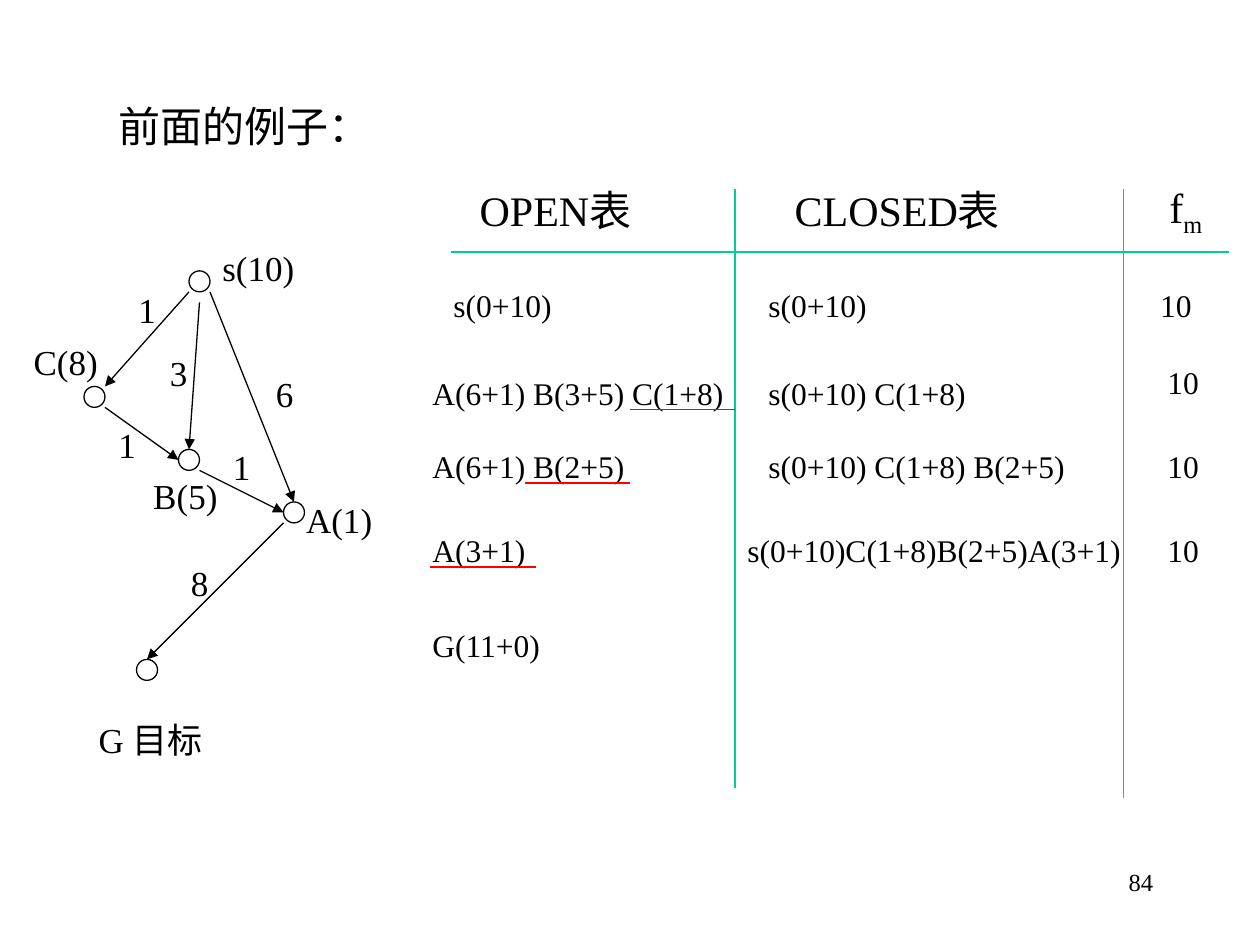
"""Build the slide that traces a search graph through its OPEN and CLOSED lists."""
from dataclasses import dataclass
from typing import NamedTuple, Optional

from lxml import etree
from pptx import Presentation, util as u
from pptx.dml.color import RGBColor
from pptx.enum import shapes, text
from pptx.oxml import ns


@dataclass(frozen=True)
class Theme:
    font: str = "Times New Roman"
    ink: RGBColor = RGBColor(0x00, 0x00, 0x00)
    paper: RGBColor = RGBColor(0xFF, 0xFF, 0xFF)
    rule: RGBColor = RGBColor(0x00, 0xCC, 0x99)
    mark: RGBColor = RGBColor(0xFF, 0x00, 0x00)
    heading: int = 24
    label: int = 20
    cell: int = 18
    number: int = 14
    line: float = 0.75


class Label(NamedTuple):
    words: str
    column: float
    row: float
    width: float
    subscript: str = ""


class Node(NamedTuple):
    name: str
    column: float
    row: float


class Edge(NamedTuple):
    start: tuple[float, float]
    end: tuple[float, float]
    top_of: Optional[str] = None


class Rule(NamedTuple):
    start: tuple[float, float]
    end: tuple[float, float]


THEME = Theme()
COLUMNS, ROWS = 120, 90
NODE_SIZE = 2
LABEL_HEIGHT, CELL_HEIGHT, HEADING_HEIGHT = 5.3, 4.8, 6
OPEN, CLOSED, COST = 40, 72, 110
SLACK = 1
SLACK_BEFORE = {text.PP_ALIGN.LEFT: 0, text.PP_ALIGN.CENTER: SLACK / 2,
                text.PP_ALIGN.RIGHT: SLACK}

TITLE = Label("前面的例子：", 10.1, 9, 26.4)
NUMBER = Label("84", 86, 82, 25)
NODES = [Node("s", 18, 25.8), Node("C", 8, 36.8), Node("B", 17, 42.8),
         Node("A", 27, 47.8), Node("G", 13, 62.8)]
EDGES = [
    Edge((18, 27.8), (10, 36.8)),
    Edge((19, 28.8), (18, 42.8), "B"),
    Edge((20, 27.8), (28, 47.8), "A"),
    Edge((27, 49.8), (14, 62.8), "G"),
    Edge((10, 38.8), (17, 43.8)),
    Edge((19, 44.8), (27, 48.8)),
]
NAMES = [
    Label("s(10)", 20, 22.8, 9.2), Label("A(1)", 28, 46.8, 8.6),
    Label("B(5)", 13.4, 44.5, 8.5), Label("C(8)", 2, 31.8, 8.5),
    Label("G 目标", 7.8, 67.8, 13.1),
]
WEIGHTS = [Label(words, column, row, 4.1) for words, column, row in [
    ("6", 25.1, 34.8), ("3", 15, 32.8), ("1", 12, 26.8),
    ("1", 10.1, 39.7), ("1", 21, 41.8), ("8", 17, 52.8)]]
HEADINGS = [Label("OPEN表", 44.5, 17, 17.8), Label("CLOSED表", 74.5, 17, 22.9),
            Label("f", 110.2, 17, 5.5, "m")]
CELLS = [
    Label("s(0+10)", OPEN + 2, 26.6, 11.8),
    Label("s(0+10)", CLOSED, 26.6, 11.8),
    Label("10", COST - 0.7, 26.6, 5.4),
    Label("A(6+1) B(3+5) C(1+8)", OPEN, 35, 30.1),
    Label("s(0+10) C(1+8)", CLOSED, 35, 21.1),
    Label("10", COST, 34, 5.4),
    Label("A(6+1) B(2+5)", OPEN, 42, 20.6),
    Label("s(0+10) C(1+8) B(2+5)", CLOSED, 42, 30.6),
    Label("10", COST, 42, 5.4),
    Label("A(3+1)", OPEN, 50, 12),
    Label("s(0+10)C(1+8)B(2+5)A(3+1)", CLOSED - 2, 50, 37.9),
    Label("10", COST, 50, 5.4),
    Label("G(11+0)", OPEN, 59, 13.4),
]
TABLE_RULES = [Rule((43, 24), (117, 24)), Rule((70, 18), (70, 75)),
               Rule((107, 18), (107, 76))]
UNDERLINES = [Rule((column, row), (column + 10, row))
              for column, row in [(60, 39), (50, 46), (41, 54)]]


def grid(steps: float) -> int:
    """Turn grid steps into a length."""
    return u.Inches(10 * steps / COLUMNS)


def fill_box(box, label: Label, size: int, align=text.PP_ALIGN.LEFT) -> None:
    """Write a label into a box and format it."""
    frame = box.text_frame
    frame.word_wrap = True
    frame.auto_size = text.MSO_AUTO_SIZE.NONE
    frame.vertical_anchor = text.MSO_ANCHOR.MIDDLE
    para = frame.paragraphs[0]
    para.alignment = align
    para.add_run().text = label.words
    if label.subscript:
        span = para.add_run()
        span.text = label.subscript
        span._r.get_or_add_rPr().set("baseline", "-25000")
    para.font.name = THEME.font
    para.font.size = u.Pt(size)
    para.font.color.rgb = THEME.ink


def add_label(page, label: Label, size: int, height: float, align=text.PP_ALIGN.LEFT):
    """Add a text box with room for its label on one line."""
    box = page.shapes.add_textbox(*map(grid, (
        label.column - SLACK_BEFORE[align], label.row, label.width + SLACK, height)))
    fill_box(box, label, size, align)
    return box


def add_node(page, node: Node):
    """Draw a graph node as a small circle."""
    circle = page.shapes.add_shape(
        shapes.MSO_SHAPE.OVAL,
        *map(grid, (node.column, node.row, NODE_SIZE, NODE_SIZE)))
    circle.shadow.inherit = False
    circle.fill.solid()
    circle.fill.fore_color.rgb = THEME.paper
    circle.line.color.rgb = THEME.ink
    circle.line.width = u.Pt(THEME.line)
    return circle


def add_line(page, line: Rule | Edge, color: RGBColor):
    """Draw a straight line between two grid points."""
    connector = page.shapes.add_connector(
        shapes.MSO_CONNECTOR.STRAIGHT, *map(grid, (*line.start, *line.end)))
    connector.line.color.rgb = color
    connector.line.width = u.Pt(THEME.line)
    etree.SubElement(connector._element.spPr, ns.qn("a:effectLst"))
    return connector


def add_edge(page, edge: Edge, circles: dict) -> None:
    """Draw a graph edge with an arrowhead."""
    arrow = add_line(page, edge, THEME.ink)
    if edge.top_of:
        arrow.end_connect(circles[edge.top_of], 0)
    etree.SubElement(arrow.line._get_or_add_ln(), ns.qn("a:tailEnd"), type="triangle")


def main() -> None:
    """Build and save the deck."""
    deck = Presentation()
    deck.slide_width, deck.slide_height = grid(COLUMNS), grid(ROWS)
    page = deck.slides.add_slide(deck.slide_layouts[5])

    title = page.shapes.title
    title.left, title.top, title.width, title.height = map(
        grid, (TITLE.column, TITLE.row, TITLE.width + SLACK, HEADING_HEIGHT))
    fill_box(title, TITLE, THEME.heading)

    circles = {node.name: add_node(page, node) for node in NODES}
    for edge in EDGES:
        add_edge(page, edge, circles)
    for name in NAMES:
        add_label(page, name, THEME.label, LABEL_HEIGHT, text.PP_ALIGN.CENTER)
    for weight in WEIGHTS:
        add_label(page, weight, THEME.label, LABEL_HEIGHT)

    for rule in TABLE_RULES:
        add_line(page, rule, THEME.rule)
    for heading in HEADINGS:
        add_label(page, heading, THEME.heading, HEADING_HEIGHT)
    for cell in CELLS:
        add_label(page, cell, THEME.cell, CELL_HEIGHT)
    for underline in UNDERLINES:
        add_line(page, underline, THEME.mark)

    number = add_label(page, NUMBER, THEME.number, HEADING_HEIGHT, text.PP_ALIGN.RIGHT)
    number.text_frame.vertical_anchor = text.MSO_ANCHOR.TOP
    deck.save("out.pptx")


if __name__ == "__main__":
    main()
